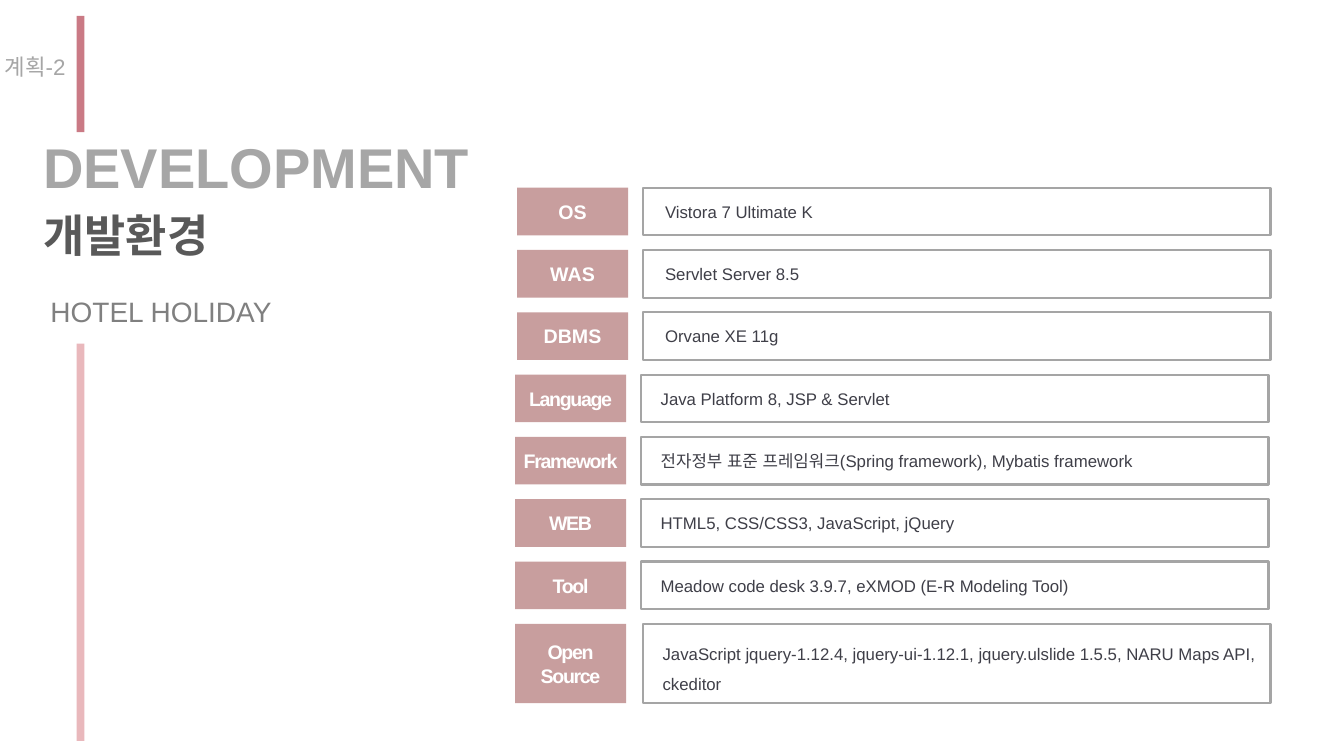
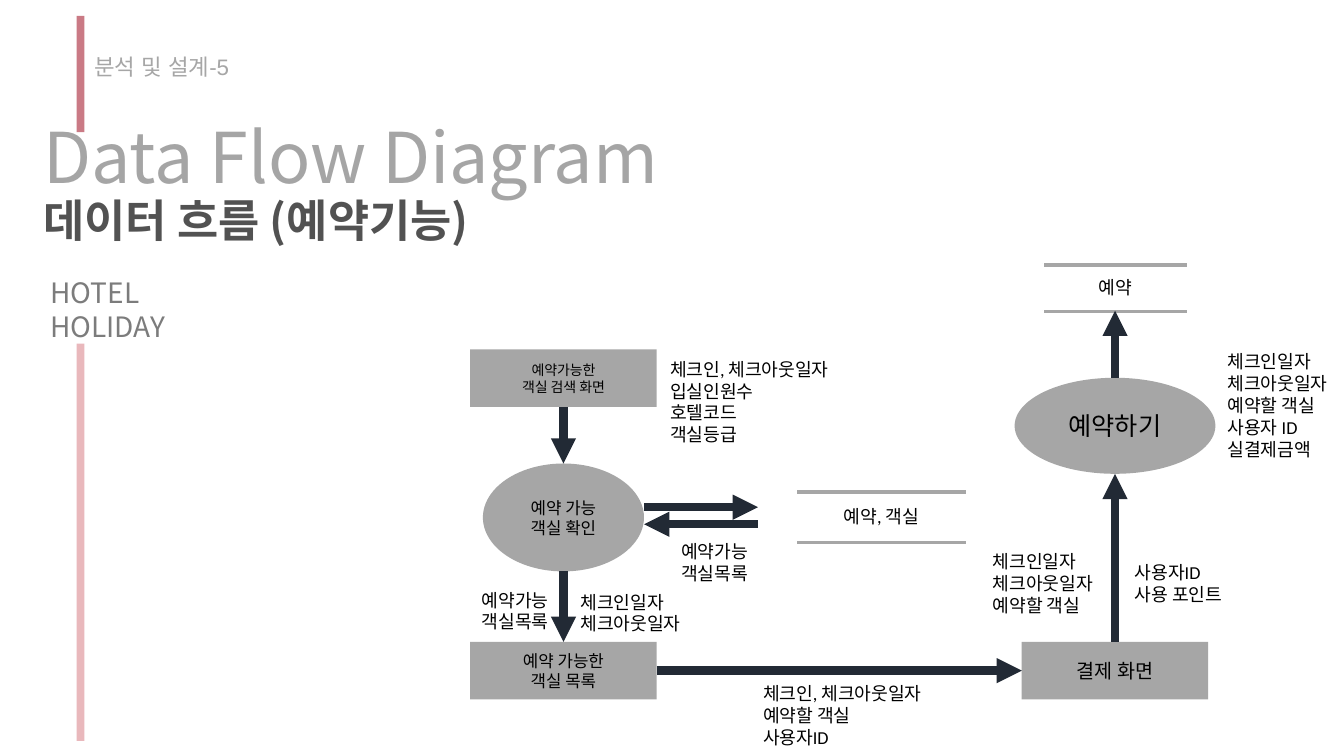
import pptx
import pptx.util
import pptx.dml.color
import pptx.enum.shapes
import pptx.enum.text
import pptx.oxml
import pptx.oxml.ns
import lxml.etree

Cm = pptx.util.Cm
Pt = pptx.util.Pt
SHAPE = pptx.enum.shapes.MSO_SHAPE
ALIGN = pptx.enum.text.PP_ALIGN
ANCHOR = pptx.enum.text.MSO_ANCHOR
qn = pptx.oxml.ns.qn

COLORS = {
    "white": "FFFFFF", "black": "000000", "rose": "CA7A85", "blush": "E9B8BC",
    "label": "C89E9E", "border": "A5A5A5", "gray": "A6A6A6", "ink": "3F3F48",
    "heading": "595959", "flow_heading": "525252", "hotel": "808080",
    "flow_hotel": "7C7C7C", "arrow": "222A35",
}
INSETS = (0.25, 0.13, 0.25, 0.13)
FLOW_INSETS = (0.33, 0.18, 0.33, 0.18)
NOTO = "Noto Sans CJK KR"


def rgb(name):
    return pptx.dml.color.RGBColor.from_string(COLORS[name])


def write(frame, text, size, color, font="Arial", bold=False, align=ALIGN.LEFT,
          anchor=ANCHOR.TOP, insets=INSETS, spacing=None, tracking=None):
    frame.text = text
    frame.word_wrap = True
    frame.auto_size = pptx.enum.text.MSO_AUTO_SIZE.NONE
    frame.vertical_anchor = anchor
    (frame.margin_left, frame.margin_top,
     frame.margin_right, frame.margin_bottom) = [Cm(inset) for inset in insets]
    for para in frame.paragraphs:
        para.alignment = align
        if spacing:
            para.line_spacing = spacing
        for span in para.runs:
            style_span(span, size, color, font, bold)
            if tracking:
                span.font._element.set("spc", str(tracking))


def style_span(span, size, color, font, bold=False):
    span.font.size = Pt(size)
    span.font.bold = bold
    span.font.name = font
    span.font.color.rgb = rgb(color)
    east_asian = lxml.etree.Element(qn("a:ea"), typeface=font)
    span.font._element.find(qn("a:latin")).addnext(east_asian)


def add_text(page, left, top, width, height, text, size, color, **style):
    box = page.shapes.add_textbox(Cm(left), Cm(top), Cm(width), Cm(height))
    write(box.text_frame, text, size, color, **style)
    return box


def add_block(page, kind, left, top, width, height, fill, line=None):
    shape = page.shapes.add_shape(kind, Cm(left), Cm(top), Cm(width), Cm(height))
    shape.shadow.inherit = False
    shape.fill.solid()
    shape.fill.fore_color.rgb = rgb(fill)
    if line:
        shape.line.color.rgb = rgb(line)
        shape.line.width = Pt(1.5)
    else:
        shape.line.fill.background()
    return shape


def add_page(deck, title, title_box, title_style, tag, tag_left):
    page = deck.slides.add_slide(deck.slide_layouts[5])
    holder = page.shapes.title
    holder.left, holder.top, holder.width, holder.height = [Cm(side) for side in title_box]
    write(holder.text_frame, title, **title_style)
    for top, height, color in ((0.4, 2.93, "rose"), (8.66, 10.01, "blush")):
        add_block(page, SHAPE.RECTANGLE, 1.93, top, 0.2, height, color)
    tag_box = add_text(page, tag_left, 1.2, 4.5, 0.93, tag, 16, "gray")
    tag_box.text_frame.word_wrap = False
    return page


def add_row(page, index, label, value, tight):
    top = 4.73 + 1.57 * index
    last = label.startswith("Open")
    height = 2.0 if last else 1.2
    shift = 0.05 if tight else 0
    label_box = add_block(page, SHAPE.RECTANGLE, 13.03 - shift, top, 2.8, height, "label")
    write(label_box.text_frame, label, 14, "white", bold=True, align=ALIGN.CENTER,
          anchor=ANCHOR.MIDDLE, insets=(0, 0, 0, 0), tracking=-100 if tight else None)
    value_left = 16.2 if last else 16.2 - shift
    value_box = add_block(page, SHAPE.RECTANGLE, value_left, top, 15.82, height,
                          "white", "border")
    write(value_box.text_frame, value, 12, "ink", anchor=ANCHOR.MIDDLE,
          insets=(0.5 if tight else 0.56, 0.13, 0, 0.13), spacing=1.5 if last else None)


def add_node(page, kind, center_x, center_y, width, height, text, size):
    node = add_block(page, kind, center_x - width / 2, center_y - height / 2,
                     width, height, "gray")
    write(node.text_frame, text, size, "black", font="Calibri", align=ALIGN.CENTER,
          anchor=ANCHOR.MIDDLE, insets=FLOW_INSETS)
    return node


def add_arrow(page, start, end, begin=None, finish=None):
    arrow = page.shapes.add_connector(
        pptx.enum.shapes.MSO_CONNECTOR.STRAIGHT,
        Cm(start[0]), Cm(start[1]), Cm(end[0]), Cm(end[1]))
    if begin:
        arrow.begin_connect(*begin)
    if finish:
        arrow.end_connect(*finish)
    arrow.line.color.rgb = rgb("arrow")
    arrow.line.width = Pt(6)
    lxml.etree.SubElement(arrow.line._get_or_add_ln(), qn("a:tailEnd"), type="triangle")
    lxml.etree.SubElement(arrow._element.spPr, qn("a:effectLst"))


def add_store(page, left, top, width, height, text):
    table = page.shapes.add_table(1, 1, Cm(left), Cm(top), Cm(width), Cm(height)).table
    table.first_row = False
    table.horz_banding = False
    cell = table.cell(0, 0)
    cell.fill.solid()
    cell.fill.fore_color.rgb = rgb("white")
    cell.vertical_anchor = ANCHOR.MIDDLE
    cell.margin_left = cell.margin_right = Cm(0.28)
    cell.margin_top = cell.margin_bottom = Cm(0.1)
    cell.text = text
    para = cell.text_frame.paragraphs[0]
    para.alignment = ALIGN.CENTER
    style_span(para.runs[0], 13, "black", "Calibri")
    properties = cell._tc.get_or_add_tcPr()
    borders = (("L", "white", 1), ("R", "white", 1), ("T", "gray", 3), ("B", "gray", 3))
    for index, (side, color, weight) in enumerate(borders):
        border = lxml.etree.Element(qn("a:ln" + side), w=str(Pt(weight)))
        fill = lxml.etree.SubElement(border, qn("a:solidFill"))
        lxml.etree.SubElement(fill, qn("a:srgbClr"), val=COLORS[color])
        properties.insert(index, border)


def build_environment(deck):
    page = add_page(deck, "DEVELOPMENT", (0.84, 3.2, 13.59, 1.96),
                    {"size": 40, "color": "gray", "bold": True}, "계획-2", -0.13)
    add_text(page, 0.84, 5.1, 5.08, 1.63, "개발환경", 32, "heading", bold=True)
    add_text(page, 1.02, 7.29, 6.6, 1.12, "HOTEL HOLIDAY", 20, "hotel")
    rows = (
        ("OS", "Vistora 7 Ultimate K"),
        ("WAS", "Servlet Server 8.5"),
        ("DBMS", "Orvane XE 11g"),
        ("Language", "Java Platform 8, JSP & Servlet"),
        ("Framework", "전자정부 표준 프레임워크(Spring framework), Mybatis framework"),
        ("WEB", "HTML5, CSS/CSS3, JavaScript, jQuery"),
        ("Tool", "Meadow code desk 3.9.7, eXMOD (E-R Modeling Tool)"),
        ("Open\nSource", "JavaScript jquery-1.12.4, jquery-ui-1.12.1, "
                         "jquery.ulslide 1.5.5, NARU Maps API, ckeditor"),
    )
    for index, (label, value) in enumerate(rows):
        add_row(page, index, label, value, tight=index > 2)


def build_data_flow(deck):
    page = add_page(deck, "Data Flow Diagram", (0.84, 2.74, 18.87, 2.39),
                    {"size": 50, "color": "border", "font": NOTO}, "분석 및 설계-5", 2.13)
    add_text(page, 0.84, 4.72, 14, 1.63, "데이터 흐름 (예약기능)", 32,
             "flow_heading", font=NOTO, bold=True)
    add_text(page, 1.02, 6.81, 4.17, 1.12, "HOTEL HOLIDAY", 20, "flow_hotel", font=NOTO)

    add_store(page, 26.29, 6.68, 3.63, 1.17, "예약")
    add_store(page, 20.07, 12.4, 4.29, 1.27, "예약, 객실")

    left_x, right_x = 14.2, 28.1
    search = add_node(page, SHAPE.RECTANGLE, left_x, 9.53, 4.7, 1.45,
                      "예약가능한\n객실 검색 화면", 10)
    add_node(page, SHAPE.OVAL, left_x, 13.04, 4.06, 2.72, "예약 가능 객실 확인", 12)
    rooms = add_node(page, SHAPE.RECTANGLE, left_x, 16.9, 4.7, 1.45,
                     "예약 가능한\n객실 목록", 12)
    payment = add_node(page, SHAPE.RECTANGLE, right_x, 16.9, 4.7, 1.45, "결제 화면", 14)
    add_node(page, SHAPE.OVAL, right_x, 10.73, 5.06, 2.42, "예약하기", 18)

    add_arrow(page, (left_x, 10.25), (left_x, 11.68), begin=(search, 2))
    add_arrow(page, (left_x, 14.4), (left_x, 16.18), finish=(rooms, 0))
    add_arrow(page, (16.23, 12.78), (19.1, 12.78))
    add_arrow(page, (19.1, 13.21), (16.23, 13.21))
    add_arrow(page, (16.55, 16.9), (25.75, 16.9), begin=(rooms, 3), finish=(payment, 1))
    add_arrow(page, (right_x, 16.18), (right_x, 11.94), begin=(payment, 0))
    add_arrow(page, (right_x, 9.52), (right_x, 7.83))

    notes = (
        (16.56, 8.84, 5.13, "체크인, 체크아웃일자\n입실인원수\n호텔코드\n객실등급", ALIGN.LEFT),
        (10.19, 14.66, 3.96, "예약가능\n객실목록", ALIGN.RIGHT),
        (16.84, 13.44, 3.96, "예약가능\n객실목록", ALIGN.LEFT),
        (14.3, 14.71, 3.96, "체크인일자\n체크아웃일자", ALIGN.LEFT),
        (18.9, 17.02, 5.59, "체크인, 체크아웃일자\n예약할 객실\n사용자ID", ALIGN.LEFT),
        (24.69, 13.69, 3.96, "체크인일자\n체크아웃일자\n예약할 객실", ALIGN.LEFT),
        (28.27, 13.97, 3.96, "사용자ID\n사용 포인트", ALIGN.LEFT),
        (30.61, 8.66, 3.26, "체크인일자\n체크아웃일자\n예약할 객실\n사용자 ID\n실결제금액", ALIGN.LEFT),
    )
    for left, top, width, text, align in notes:
        height = 0.36 + 0.55 * (text.count("\n") + 1)
        add_text(page, left, top, width, height, text, 13, "black", font="Calibri",
                 align=align, insets=FLOW_INSETS)


def main():
    deck = pptx.Presentation()
    deck.slide_width = Cm(33.87)
    deck.slide_height = Cm(19.05)
    build_environment(deck)
    build_data_flow(deck)
    deck.save("out.pptx")


if __name__ == "__main__":
    main()
